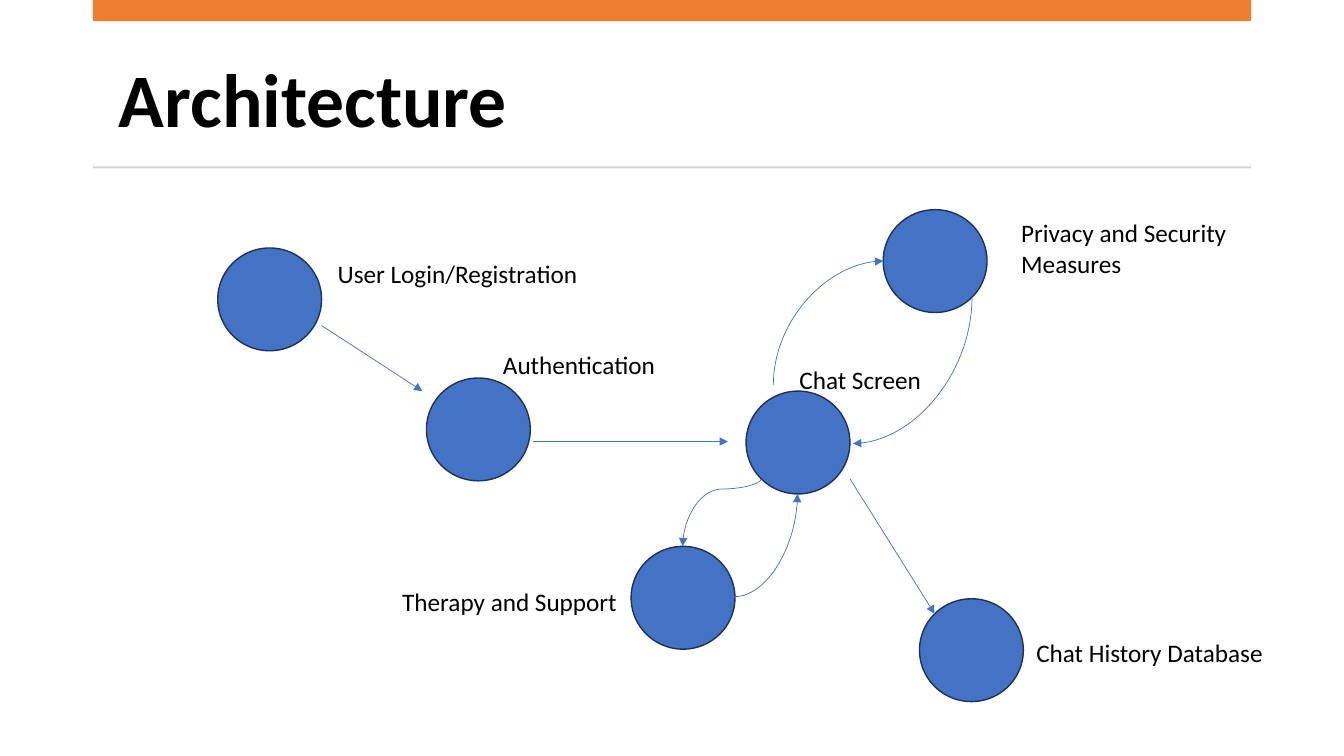
import pptx
import pptx.util
import pptx.dml.color
import pptx.enum.shapes
import pptx.enum.text
import pptx.oxml.ns
import lxml.etree

Inches = pptx.util.Inches
qn = pptx.oxml.ns.qn
SHAPES = pptx.enum.shapes.MSO_SHAPE
CONNECTORS = pptx.enum.shapes.MSO_CONNECTOR

COLORS = {"accent": "ED7D31", "rule": "D5D5D5", "node": "4472C4",
          "outline": "1E3256", "text": "000000"}
NODE_WIDTH, NODE_HEIGHT = 1.03, 1.02

# Left and top of each circle
NODES = [(2.16, 2.46), (4.23, 3.75), (7.4, 3.88),
         (9.12, 5.94), (8.76, 2.08), (6.26, 5.42)]

# Text, left, top, width, height, wrap
LABELS = [
    ("User Login/Registration", 3.25, 2.51, 2.61, 0.4, False),
    ("Authentication", 4.89, 3.42, 1.73, 0.4, False),
    ("Chat Screen", 7.83, 3.57, 1.42, 0.4, False),
    ("Chat History Database", 10.18, 6.27, 2.47, 0.4, False),
    ("Privacy and Security Measures", 10.03, 2.11, 3.15, 0.71, True),
    ("Therapy and Support", 3.89, 5.77, 2.45, 0.4, True),
]

# Start and end of each straight arrow
ARROWS = [((3.19, 3.23), (4.19, 3.88)),
          ((5.29, 4.38), (7.22, 4.38)),
          ((8.43, 4.75), (9.27, 6.09))]

# Start, end, leaves vertically, bend position (S-curves only)
CURVES = [((7.67, 3.82), (8.76, 2.59), True, None),
          ((9.64, 2.95), (8.46, 4.4), True, None),
          ((7.55, 4.75), (6.77, 5.42), True, 0.152),
          ((7.28, 5.92), (7.91, 4.9), False, None)]


def color(name):
    return pptx.dml.color.RGBColor.from_string(COLORS[name])


def apply_format(target, values):
    for name, value in values.items():
        setattr(target, name, value)


def format_font(para, size, bold=False):
    apply_format(para.font, {"name": "Calibri", "size": pptx.util.Pt(size), "bold": bold})
    para.font.color.rgb = color("text")


def add_filled(page, kind, left, top, width, height, fill, outline=None):
    shape = page.shapes.add_shape(kind, Inches(left), Inches(top), Inches(width), Inches(height))
    shape.shadow.inherit = False
    shape.fill.solid()
    shape.fill.fore_color.rgb = color(fill)
    if outline:
        shape.line.color.rgb = color(outline)
        shape.line.width = pptx.util.Pt(1)
    else:
        shape.line.fill.background()


def add_label(page, text, left, top, width, height, wrap):
    box = page.shapes.add_textbox(Inches(left), Inches(top), Inches(width), Inches(height))
    apply_format(box.text_frame, {
        "word_wrap": wrap, "auto_size": pptx.enum.text.MSO_AUTO_SIZE.SHAPE_TO_FIT_TEXT})
    para = box.text_frame.paragraphs[0]
    para.text = text
    format_font(para, 18)


def add_arrow(page, start, end, kind=CONNECTORS.STRAIGHT):
    arrow = page.shapes.add_connector(kind, *map(Inches, start + end))
    arrow.line.color.rgb = color("node")
    arrow.line.width = pptx.util.Pt(0.5)
    outline = arrow.line._get_or_add_ln()
    lxml.etree.SubElement(outline, qn("a:tailEnd"), type="triangle")
    lxml.etree.SubElement(arrow._element.spPr, qn("a:effectLst"))
    return arrow


def add_curve(page, start, end, vertical, bend):
    curve = add_arrow(page, start, end, CONNECTORS.CURVE)
    properties = curve._element.spPr
    geometry = properties.find(qn("a:prstGeom"))
    geometry.set("prst", "curvedConnector3" if bend else "curvedConnector2")
    if bend:
        lxml.etree.SubElement(geometry.find(qn("a:avLst")), qn("a:gd"),
                              name="adj1", fmla=f"val {round(bend * 100000)}")
    if vertical:
        # A quarter turn swaps the frame's sides around its centre
        (x1, y1), (x2, y2) = start, end
        width, height = abs(y2 - y1), abs(x2 - x1)
        apply_format(curve, {
            "left": Inches((x1 + x2 - width) / 2), "top": Inches((y1 + y2 - height) / 2),
            "width": Inches(width), "height": Inches(height)})
        frame = properties.find(qn("a:xfrm"))
        frame.set("rot", str(90 * 60000))
        frame.set("flipH", str(int(y2 < y1)))
        frame.set("flipV", str(int(x2 > x1)))


def add_title(page, text):
    title = page.shapes.title
    apply_format(title, {"left": Inches(0.92), "top": Inches(0.41),
                         "width": Inches(4.37), "height": Inches(1.22)})
    apply_format(title.text_frame, {
        "word_wrap": True, "vertical_anchor": pptx.enum.text.MSO_ANCHOR.MIDDLE})
    para = title.text_frame.paragraphs[0]
    para.text = text
    apply_format(para, {"alignment": pptx.enum.text.PP_ALIGN.CENTER, "line_spacing": 0.9})
    format_font(para, 54, bold=True)


def main():
    deck = pptx.Presentation()
    apply_format(deck, {"slide_width": Inches(13.33), "slide_height": Inches(7.5)})
    page = deck.slides.add_slide(deck.slide_layouts.get_by_name("Title Only"))

    # Header
    add_filled(page, SHAPES.RECTANGLE, 0.92, 0, 11.49, 0.21, "accent")
    add_filled(page, SHAPES.RECTANGLE, 0.92, 1.65, 11.49, 0.02, "rule")
    add_title(page, "Architecture")

    # Diagram
    for left, top in NODES:
        add_filled(page, SHAPES.FLOWCHART_CONNECTOR, left, top,
                   NODE_WIDTH, NODE_HEIGHT, "node", "outline")
    for label in LABELS:
        add_label(page, *label)
    for start, end in ARROWS:
        add_arrow(page, start, end)
    for curve in CURVES:
        add_curve(page, *curve)

    deck.save("out.pptx")


if __name__ == "__main__":
    main()
